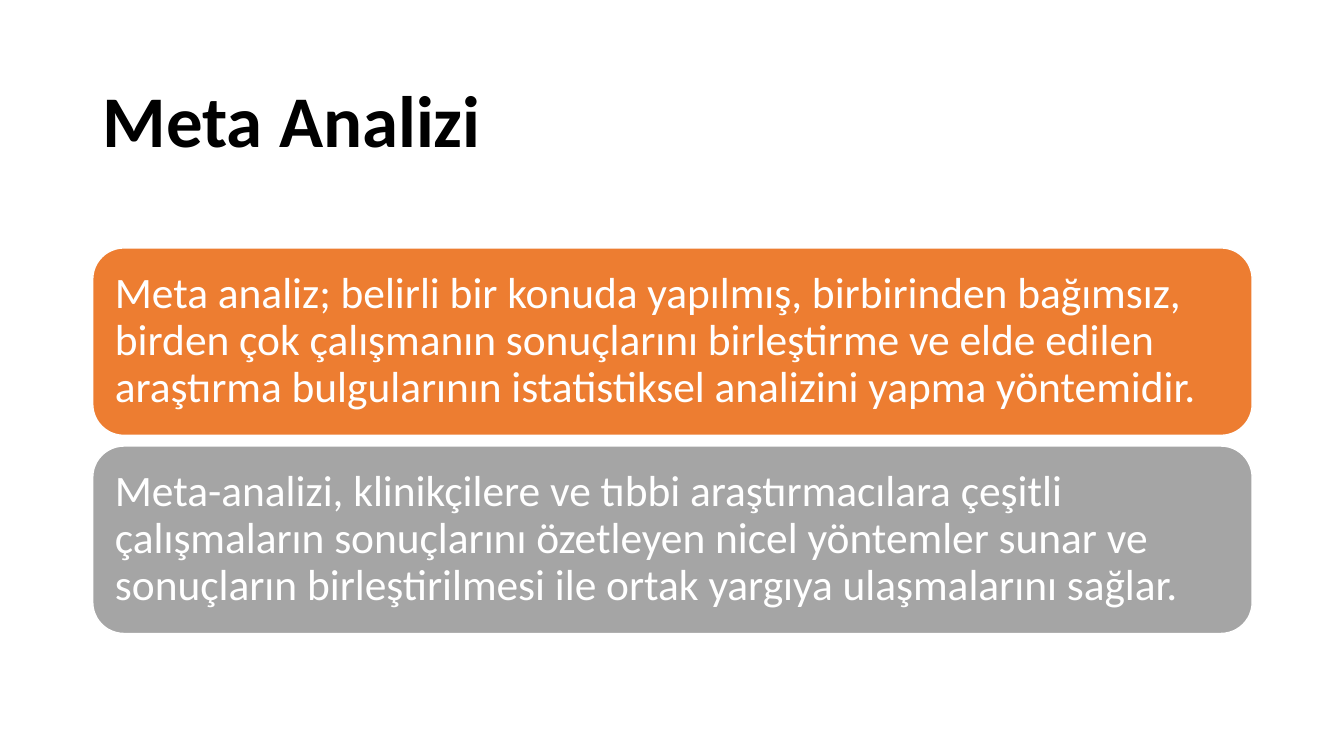
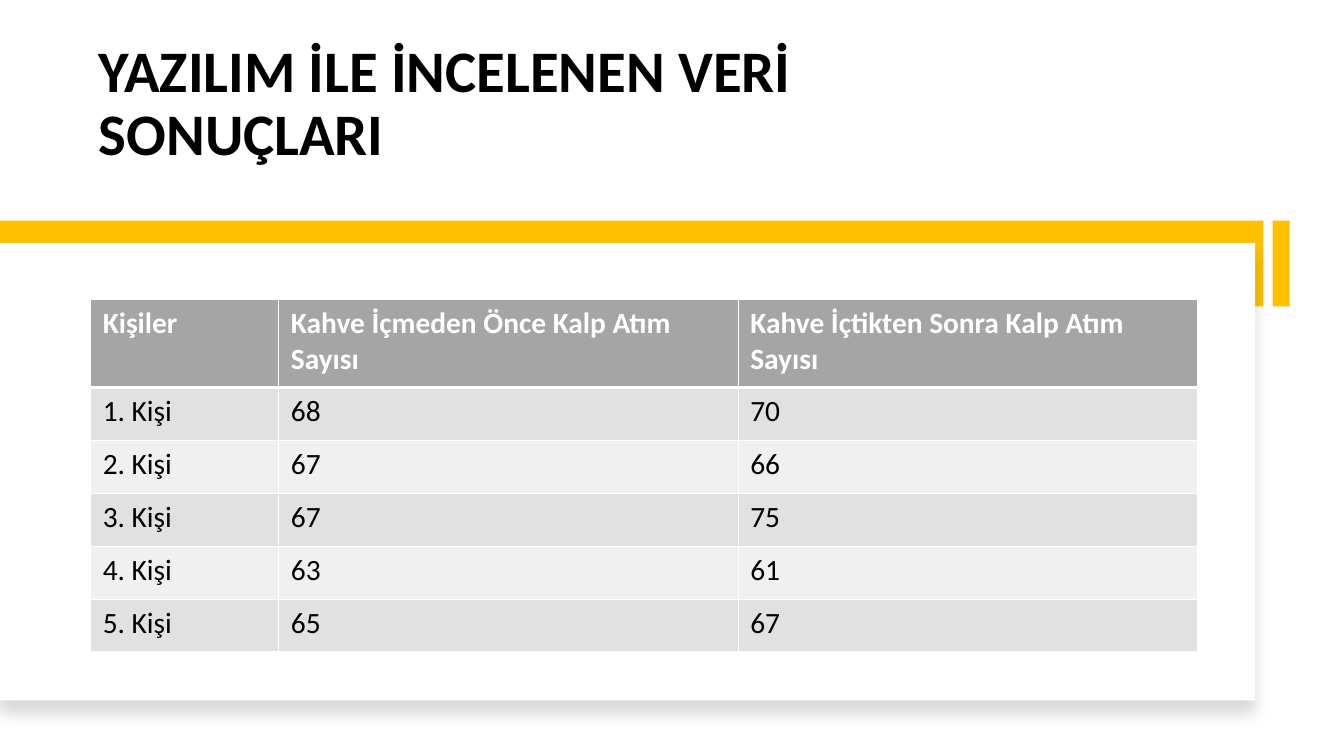
"""Build two slides: a definition of meta-analysis and a table of heart rates."""
import lxml.etree
import pptx
import pptx.dml.color
import pptx.enum.shapes
import pptx.enum.text
import pptx.oxml.ns
import pptx.util

BLACK = pptx.dml.color.RGBColor(0x00, 0x00, 0x00)
WHITE = pptx.dml.color.RGBColor(0xFF, 0xFF, 0xFF)
ORANGE = pptx.dml.color.RGBColor(0xED, 0x7D, 0x31)
GRAY = pptx.dml.color.RGBColor(0xA5, 0xA5, 0xA5)
GOLD = pptx.dml.color.RGBColor(0xFF, 0xC0, 0x00)
ROW_DARK = pptx.dml.color.RGBColor(0xE1, 0xE1, 0xE1)
ROW_LIGHT = pptx.dml.color.RGBColor(0xF0, 0xF0, 0xF0)
FONT = "Calibri"
TITLE_ONLY = 5
RECTANGLE = pptx.enum.shapes.MSO_SHAPE.RECTANGLE
ROUNDED = pptx.enum.shapes.MSO_SHAPE.ROUNDED_RECTANGLE
MIDDLE = pptx.enum.text.MSO_ANCHOR.MIDDLE
BOTTOM = pptx.enum.text.MSO_ANCHOR.BOTTOM

presentation = pptx.Presentation()
presentation.slide_width = pptx.util.Inches(13.33)
presentation.slide_height = pptx.util.Inches(7.5)


def share(left, top, width, height):
    """Turn percentages of the slide into a left, top, width and height."""
    slide_width, slide_height = presentation.slide_width, presentation.slide_height
    return (int(slide_width * left / 100), int(slide_height * top / 100),
            int(slide_width * width / 100), int(slide_height * height / 100))


def write(frame, text, size, color=BLACK, bold=False, spacing=0.9):
    """Put one left-aligned, formatted paragraph into a text frame."""
    frame.word_wrap = True
    paragraph = frame.paragraphs[0]
    paragraph.alignment = pptx.enum.text.PP_ALIGN.LEFT
    paragraph.line_spacing = spacing
    run = paragraph.add_run()
    run.text = text
    run.font.name = FONT
    run.font.size = pptx.util.Pt(size)
    run.font.bold = bold
    run.font.color.rgb = color


titles = [
    ("Meta Analizi", 52, MIDDLE, (6.9, 8.13, 86.27, 16.53)),
    ("YAZILIM İLE İNCELENEN VERİ SONUÇLARI", 42, BOTTOM, (6.6, 5.6, 75.77, 17.33)),
]
slides = []
for text, size, anchor, area in titles:
    slide = presentation.slides.add_slide(presentation.slide_layouts[TITLE_ONLY])
    title = slide.shapes.title
    title.left, title.top, title.width, title.height = share(*area)
    title.text_frame.auto_size = pptx.enum.text.MSO_AUTO_SIZE.NONE
    title.text_frame.vertical_anchor = anchor
    title.text_frame.margin_right = pptx.util.Inches(0.3)
    write(title.text_frame, text, size, bold=True)
    slides.append(slide)
definition_slide, results_slide = slides

definitions = [
    (ORANGE, "Meta analiz; belirli bir konuda yapılmış, birbirinden bağımsız, birden çok "
             "çalışmanın sonuçlarını birleştirme ve elde edilen araştırma bulgularının "
             "istatistiksel analizini yapma yöntemidir."),
    (GRAY, "Meta-analizi, klinikçilere ve tıbbi araştırmacılara çeşitli çalışmaların "
           "sonuçlarını özetleyen nicel yöntemler sunar ve sonuçların birleştirilmesi ile "
           "ortak yargıya ulaşmalarını sağlar."),
]
for index, (color, text) in enumerate(definitions):
    box = definition_slide.shapes.add_shape(ROUNDED, *share(6.9, 32.8 + 26.2 * index, 86.27, 24.8))
    box.shadow.inherit = False
    box.fill.solid()
    box.fill.fore_color.rgb = color
    box.line.color.rgb = WHITE
    box.line.width = pptx.util.Pt(1)
    frame = box.text_frame
    frame.vertical_anchor = MIDDLE
    frame.margin_left = frame.margin_right = pptx.util.Inches(0.13)
    frame.margin_top = frame.margin_bottom = pptx.util.Inches(0.13)
    write(frame, text, 31, color=WHITE)

backdrop = [
    (GOLD, (94.68, 29.2, 1.28, 11.33)),
    (GOLD, (0, 29.2, 94, 11.33)),
    (WHITE, (0, 32.13, 93.4, 60.53)),
]
for color, area in backdrop:
    panel = results_slide.shapes.add_shape(RECTANGLE, *share(*area))
    panel.shadow.inherit = False
    panel.fill.solid()
    panel.fill.fore_color.rgb = color
    panel.line.fill.background()

effects = panel._element.spPr.find(pptx.oxml.ns.qn("a:effectLst"))
shadow = lxml.etree.SubElement(
    effects, pptx.oxml.ns.qn("a:outerShdw"), blurRad=str(pptx.util.Pt(11)),
    dist=str(pptx.util.Pt(10)), dir="5400000", algn="t", rotWithShape="0")
shadow_color = lxml.etree.SubElement(shadow, pptx.oxml.ns.qn("a:srgbClr"), val=str(BLACK))
lxml.etree.SubElement(shadow_color, pptx.oxml.ns.qn("a:alpha"), val="15000")

records = [
    ("Kişiler", "Kahve İçmeden Önce Kalp Atım Sayısı", "Kahve İçtikten Sonra Kalp Atım Sayısı"),
    ("1. Kişi", "68", "70"),
    ("2. Kişi", "67", "66"),
    ("3. Kişi", "67", "75"),
    ("4. Kişi", "63", "61"),
    ("5. Kişi", "65", "67"),
]
left, top, width, height = share(6.75, 39.6, 82.37, 46.67)
table = results_slide.shapes.add_table(len(records), 3, left, top, width, height).table
for column, part in zip(table.columns, (0.17, 0.415, 0.415)):
    column.width = int(width * part)
for row, part in zip(table.rows, [0.25] + [0.15] * 5):
    row.height = int(height * part)

for row_index, record in enumerate(records):
    is_header = row_index == 0
    fill = GRAY if is_header else (ROW_LIGHT, ROW_DARK)[row_index % 2]
    borders = {"L": 1, "R": 1, "T": 3 if row_index == 1 else 1, "B": 3 if is_header else 1}
    for column_index, text in enumerate(record):
        cell = table.cell(row_index, column_index)
        cell.margin_left = cell.margin_right = pptx.util.Inches(0.12)
        cell.margin_top = cell.margin_bottom = pptx.util.Inches(0.06)
        properties = cell._tc.get_or_add_tcPr()
        for side, points in borders.items():
            border = lxml.etree.SubElement(
                properties, pptx.oxml.ns.qn("a:ln" + side), w=str(pptx.util.Pt(points)))
            border_fill = lxml.etree.SubElement(border, pptx.oxml.ns.qn("a:solidFill"))
            lxml.etree.SubElement(border_fill, pptx.oxml.ns.qn("a:srgbClr"), val=str(WHITE))
        cell.fill.solid()
        cell.fill.fore_color.rgb = fill
        write(cell.text_frame, text, 21, color=WHITE if is_header else BLACK,
              bold=is_header, spacing=1.0)

presentation.save("out.pptx")
